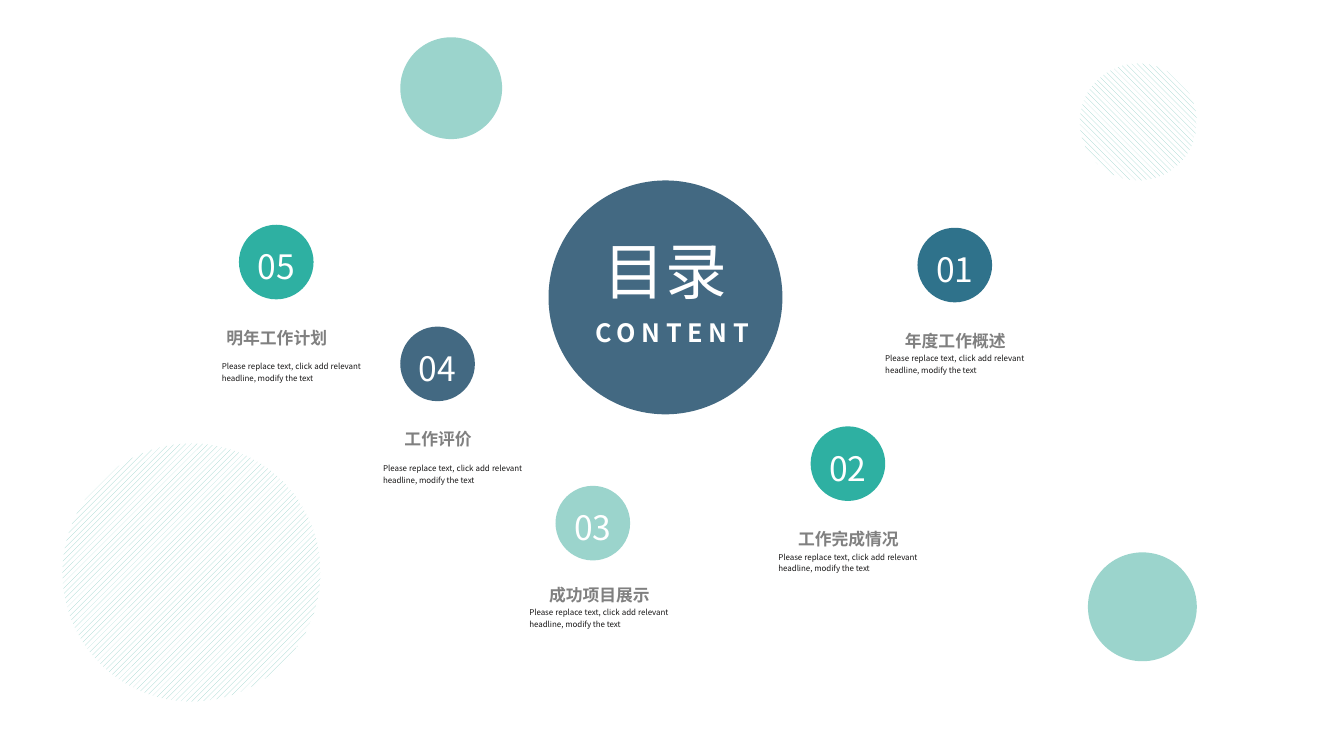
from pptx import Presentation
from pptx.dml.color import RGBColor
from pptx.enum.dml import MSO_PATTERN as Pattern
from pptx.enum.shapes import MSO_SHAPE as Shape
from pptx.enum.text import MSO_ANCHOR as Anchor, MSO_AUTO_SIZE as AutoSize, PP_ALIGN as Align
from pptx.util import Inches, Pt
from lxml.etree import SubElement

COLORS = {
    "navy": "436982",
    "blue": "2F728B",
    "teal": "2EB0A2",
    "mint": "9BD4CC",
    "white": "FFFFFF",
    "heading": "808080",
    "body": "181717",
}
DRAWING_NS = "{http://schemas.openxmlformats.org/drawingml/2006/main}"
DESCRIPTION = "Please replace text, click add relevant headline, modify the text"
BADGE_SIZE = 0.74

AGENDA = [
    ("01", "年度工作概述", "blue", (9.1, 2.26), (-0.23, 0.99), (-0.09, 0.24)),
    ("02", "工作完成情况", "teal", (8.04, 4.23), (-0.23, 0.99), (-0.09, 0.24)),
    ("03", "成功项目展示", "mint", (5.51, 4.82), (-0.17, 0.95), (-0.09, 0.24)),
    ("04", "工作评价", "navy", (3.97, 3.24), (-0.23, 0.98), (0.06, 0.36)),
    ("05", "明年工作计划", "teal", (2.37, 2.23), (-0.23, 0.99), (0.06, 0.35)),
]


class AgendaSlide:
    font_name = "Noto Sans CJK SC"

    def __init__(self, slide):
        self.slide = slide

    def color(self, name):
        return RGBColor.from_string(COLORS[name])

    def set_text(self, shape, text, size, color, bold=False, align=Align.CENTER,
                 anchor=Anchor.MIDDLE, line_spacing=None, inset=None, wrap=True, tracking=0):
        frame = shape.text_frame
        frame.text = text
        frame.word_wrap = wrap
        frame.vertical_anchor = anchor
        if inset is not None:
            frame.margin_left = frame.margin_right = Inches(inset)
            frame.margin_top = frame.margin_bottom = Inches(inset)
        paragraph = frame.paragraphs[0]
        paragraph.alignment = align
        if line_spacing:
            paragraph.line_spacing = line_spacing
        run = paragraph.runs[0]
        run.font.size = Pt(size)
        run.font.bold = bold
        run.font.name = self.font_name
        run.font.color.rgb = self.color(color)
        properties = run.font._element
        SubElement(properties, DRAWING_NS + "ea", typeface=self.font_name)
        if tracking:
            properties.set("spc", str(tracking * 100))

    def circle(self, left, top, size, color, pattern=None):
        circle = self.slide.shapes.add_shape(
            Shape.OVAL, Inches(left), Inches(top), Inches(size), Inches(size))
        circle.shadow.inherit = False
        circle.line.fill.background()
        if pattern:
            circle.fill.patterned()
            circle.fill.pattern = pattern
            circle.fill.fore_color.rgb = self.color(color)
            circle.fill.back_color.rgb = self.color("white")
        else:
            circle.fill.solid()
            circle.fill.fore_color.rgb = self.color(color)
        return circle

    def text(self, left, top, width, height, text, size, color, **style):
        box = self.slide.shapes.add_textbox(
            Inches(left), Inches(top), Inches(width), Inches(height))
        self.set_text(box, text, size, color, **style)
        box.text_frame.auto_size = AutoSize.SHAPE_TO_FIT_TEXT

    def title(self, left, top, width, height, text, size, color):
        title = self.slide.shapes.title
        title.left, title.top = Inches(left), Inches(top)
        title.width, title.height = Inches(width), Inches(height)
        self.set_text(title, text, size, color, align=Align.LEFT, anchor=Anchor.TOP, wrap=False)
        title.text_frame.auto_size = AutoSize.SHAPE_TO_FIT_TEXT
        self.slide.shapes._spTree.append(title._element)

    def agenda_item(self, number, heading, color, badge_at, heading_offset, body_offset):
        left, top = badge_at
        badge = self.circle(left, top, BADGE_SIZE, color)
        self.set_text(badge, number, 24, "white", line_spacing=1.2, inset=0.02)
        left, top = left + heading_offset[0], top + heading_offset[1]
        self.text(left, top, 1.21, 0.22, heading, 12, "heading",
                  bold=True, line_spacing=1.2, inset=0)
        left, top = left + body_offset[0], top + body_offset[1]
        self.text(left, top, 1.38, 0.22, DESCRIPTION, 5.7, "body", align=Align.JUSTIFY,
                  anchor=Anchor.TOP, line_spacing=1.2, inset=0)


def main():
    deck = Presentation()
    deck.slide_width, deck.slide_height = Inches(13.33), Inches(7.5)
    agenda = AgendaSlide(deck.slides.add_slide(deck.slide_layouts[5]))

    for item in AGENDA:
        agenda.agenda_item(*item)

    agenda.circle(5.44, 1.79, 2.32, "navy")
    agenda.title(5.89, 2.26, 1.44, 0.84, "目录", 44, "white")
    agenda.text(5.8, 3.1, 1.74, 0.4, "CONTENT", 18, "white",
                bold=True, anchor=Anchor.TOP, wrap=False, tracking=4)

    agenda.circle(10.79, 5.48, 1.08, "mint")
    agenda.circle(3.97, 0.37, 1.01, "mint")
    agenda.circle(0.62, 4.4, 2.56, "mint", Pattern.WIDE_UPWARD_DIAGONAL)
    agenda.circle(10.71, 0.63, 1.16, "mint", Pattern.WIDE_DOWNWARD_DIAGONAL)

    deck.save("out.pptx")


if __name__ == "__main__":
    main()
